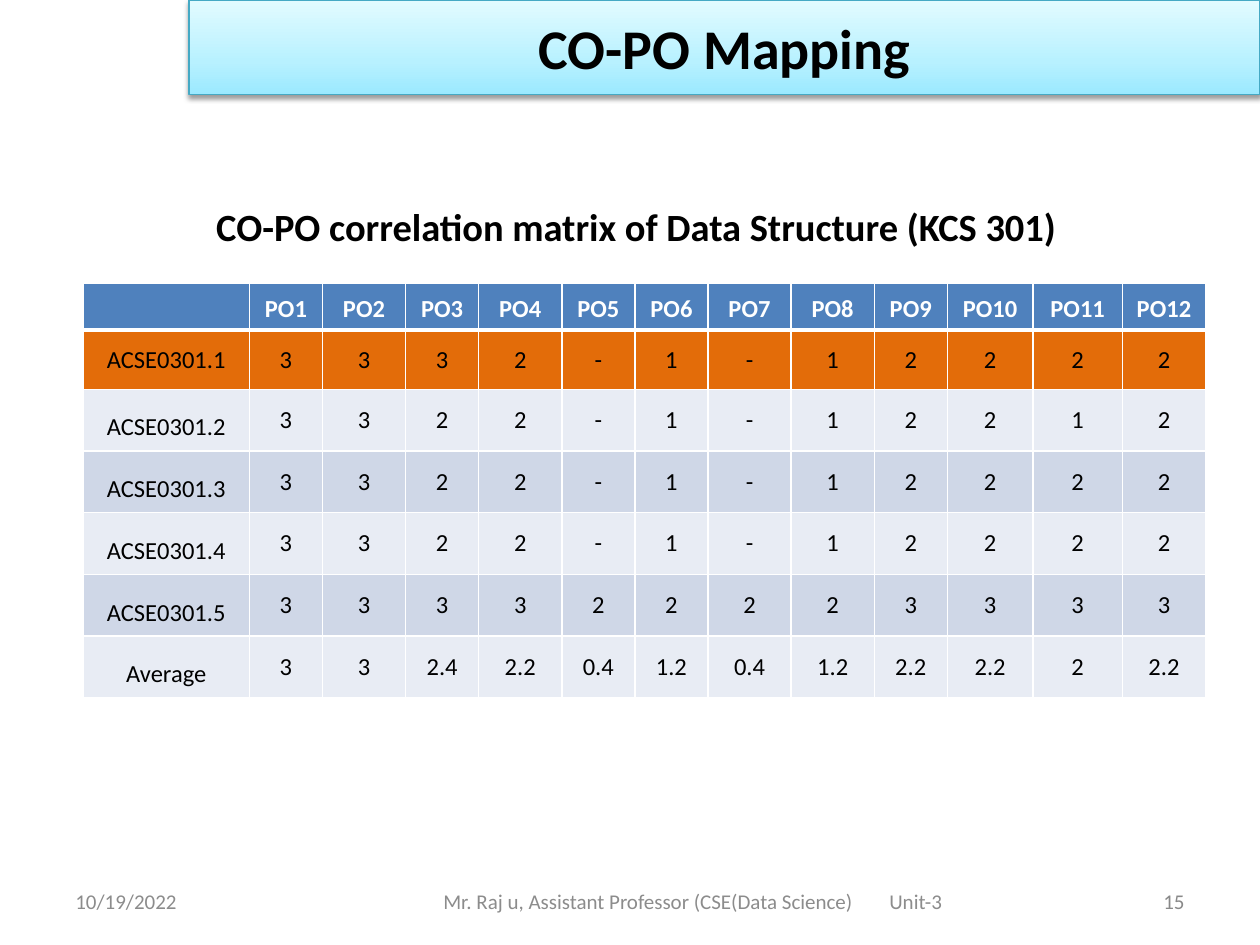
from copy import deepcopy

from lxml.etree import SubElement
from pptx import Presentation
from pptx.dml.color import RGBColor
from pptx.enum.text import MSO_ANCHOR, PP_ALIGN
from pptx.oxml import parse_xml
from pptx.oxml.ns import nsdecls, qn
from pptx.util import Inches, Pt

FONT = "Calibri"
COLORS = {
    "header": "4F81BD", "highlight": "E36C09", "light": "E8ECF4", "dark": "CFD7E7",
    "white": "FFFFFF", "black": "000000", "footer": "8C8C8C", "page": "898989",
    "title_line": "45A9C4",
}
TITLE = "CO-PO Mapping"
TITLE_STOPS = [(0, "9BE9FF"), (0.35, "B8F1FF"), (1, "E2FBFF")]
SUBTITLE = "CO-PO correlation matrix of Data Structure (KCS 301)"
HEADER = [""] + [f"PO{number}" for number in range(1, 13)]
OUTCOMES = [
    ("ACSE0301.1", "3 3 3 2 - 1 - 1 2 2 2 2", "highlight"),
    ("ACSE0301.2", "3 3 2 2 - 1 - 1 2 2 1 2", "light"),
    ("ACSE0301.3", "3 3 2 2 - 1 - 1 2 2 2 2", "dark"),
    ("ACSE0301.4", "3 3 2 2 - 1 - 1 2 2 2 2", "light"),
    ("ACSE0301.5", "3 3 3 3 2 2 2 2 3 3 3 3", "dark"),
    ("Average", "3 3 2.4 2.2 0.4 1.2 0.4 1.2 2.2 2.2 2 2.2", "light"),
]
COLUMN_WIDTHS = [1.32, 0.58, 0.66, 0.58, 0.66, 0.58, 0.58, 0.66, 0.66, 0.58, 0.68, 0.71, 0.66]
ROW_HEIGHTS = [0.37, 0.47] + [0.49] * 5
FOOTERS = [
    ("10/19/2022", 0.5, 2.33, PP_ALIGN.LEFT, "footer"),
    ("Mr. Raj u, Assistant Professor (CSE(Data Science)", 3.42, 3.5, PP_ALIGN.LEFT, "footer"),
    ("Unit-3", 6.96, 0.7, PP_ALIGN.LEFT, "footer"),
    ("15", 7.17, 2.33, PP_ALIGN.RIGHT, "page"),
]


def rgb(name):
    return RGBColor.from_string(COLORS[name])


def write(frame, text, size, color, bold=False, align=PP_ALIGN.CENTER):
    para = frame.paragraphs[0]
    para.text = text
    para.alignment = align
    para.font.name, para.font.size, para.font.bold = FONT, Pt(size), bold
    para.font.color.rgb = rgb(color)
    return para


def add_text(page, text, place, size, color, bold=False, align=PP_ALIGN.CENTER,
             anchor=MSO_ANCHOR.MIDDLE):
    frame = page.shapes.add_textbox(*map(Inches, place)).text_frame
    frame.word_wrap = True
    frame.vertical_anchor = anchor
    write(frame, text, size, color, bold, align)


def add_title(page):
    title = page.shapes.title
    title.left, title.top, title.width, title.height = map(Inches, (1.5, 0, 8.5, 0.75))
    title.fill.gradient()
    title.fill.gradient_angle = 90
    stops = title.element.spPr.find(qn("a:gradFill")).find(qn("a:gsLst"))
    stops.append(deepcopy(stops[-1]))
    for stop, (position, color) in zip(title.fill.gradient_stops, TITLE_STOPS):
        stop.position = position
        stop.color.rgb = RGBColor.from_string(color)
    title.line.color.rgb = rgb("title_line")
    title.line.width = Pt(0.75)
    title.element.spPr.append(parse_xml(
        f'<a:effectLst {nsdecls("a")}><a:outerShdw blurRad="{Pt(3.1)}" dist="{Pt(1.6)}" '
        f'dir="5400000" rotWithShape="0"><a:srgbClr val="{COLORS["black"]}">'
        '<a:alpha val="38000"/></a:srgbClr></a:outerShdw></a:effectLst>'))
    title.text_frame.vertical_anchor = MSO_ANCHOR.MIDDLE
    write(title.text_frame, TITLE, 32, "black", True)


def add_borders(cell, row):
    widths = {"L": 1, "R": 1, "T": 3 if row == 1 else 1, "B": 3 if row == 0 else 1}
    for side, width in widths.items():
        line = SubElement(cell._tc.get_or_add_tcPr(), qn(f"a:ln{side}"), w=str(Pt(width)))
        SubElement(SubElement(line, qn("a:solidFill")), qn("a:srgbClr"), val=COLORS["white"])


def add_matrix(page):
    rows = [(HEADER, "header")]
    rows += [([name] + values.split(), fill) for name, values, fill in OUTCOMES]
    table = page.shapes.add_table(
        len(rows), len(HEADER), Inches(0.66), Inches(2.25),
        Inches(sum(COLUMN_WIDTHS)), Inches(sum(ROW_HEIGHTS))).table
    for column, width in zip(table.columns, COLUMN_WIDTHS):
        column.width = Inches(width)
    for row, height in zip(table.rows, ROW_HEIGHTS):
        row.height = Inches(height)
    for row, (texts, fill) in enumerate(rows):
        for column, text in enumerate(texts):
            cell = table.cell(row, column)
            tight = row == 0 or column == 0
            cell.margin_left = cell.margin_right = Inches(0.07 if tight else 0.1)
            cell.margin_top = cell.margin_bottom = Inches(0 if tight else 0.05)
            cell.vertical_anchor = MSO_ANCHOR.MIDDLE
            add_borders(cell, row)
            cell.fill.solid()
            cell.fill.fore_color.rgb = rgb(fill)
            para = write(cell.text_frame, text, 14, "black" if row else "white", row == 0)
            if row == 0:
                para.line_spacing = 1.15
            elif column == 0 and row > 1:
                para.line_spacing = 1.5


def main():
    """Build the CO-PO mapping slide."""
    deck = Presentation()
    deck.slide_width, deck.slide_height = Inches(10), Inches(7.5)
    page = deck.slides.add_slide(deck.slide_layouts[5])
    add_matrix(page)
    for text, left, width, align, color in FOOTERS:
        add_text(page, text, (left, 6.95, width, 0.4), 12, color, align=align)
    add_title(page)
    add_text(page, SUBTITLE, (0.55, 1.56, 9, 0.47), 22, "black", True, anchor=MSO_ANCHOR.TOP)
    deck.save("out.pptx")


if __name__ == "__main__":
    main()
